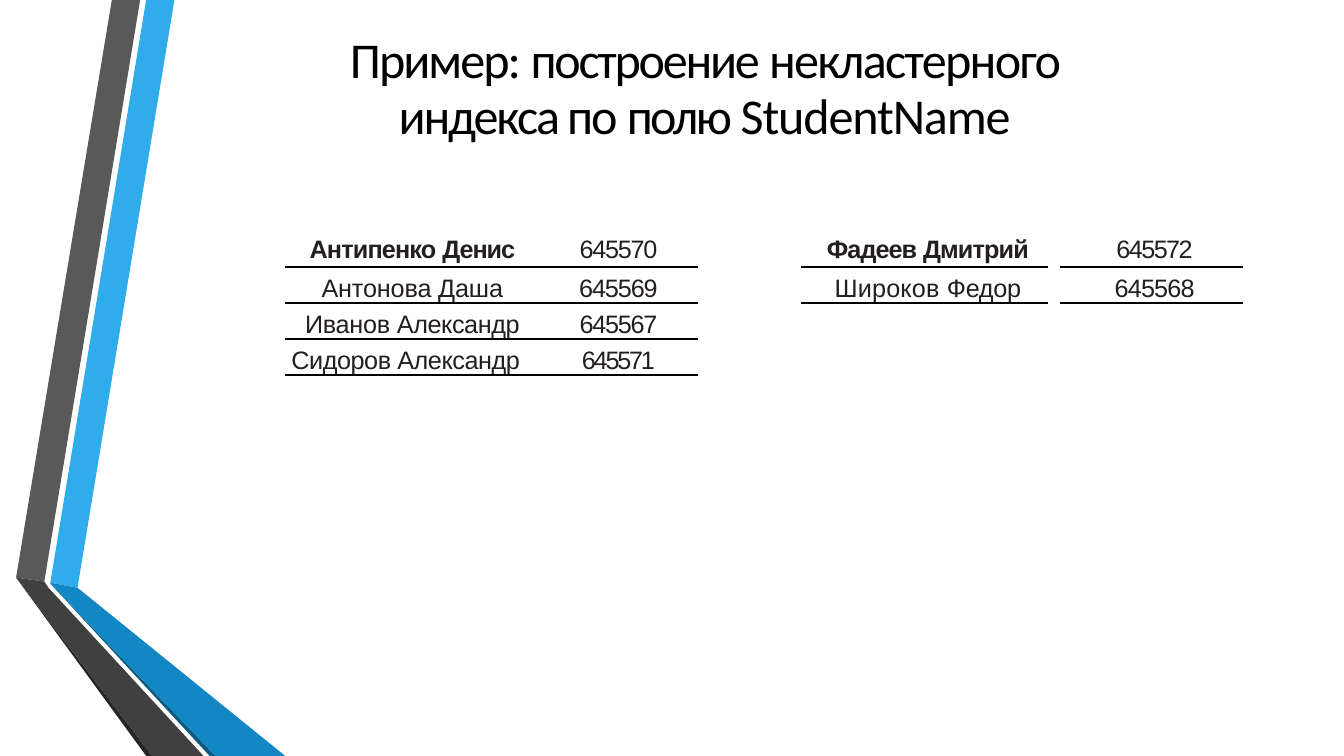
import dataclasses

import lxml.etree
import pptx
import pptx.dml.color
import pptx.enum.text
import pptx.oxml.ns
import pptx.util

Pt = pptx.util.Pt
Align = pptx.enum.text.PP_ALIGN
qn = pptx.oxml.ns.qn


@dataclasses.dataclass(frozen=True)
class Theme:
    title: str = "000000"
    body: str = "231E20"
    rule: str = "010202"
    blue: str = "30ACEC"
    deep: str = "1287C3"
    navy: str = "0C5A82"
    grey: str = "595959"
    coal: str = "404040"
    dark: str = "262626"
    head_font: str = "Calibri"
    body_font: str = "Arial"
    head_size: float = 35.8
    body_size: float = 18
    void_size: float = 8


THEME = Theme()
PLAIN = "{2D5ABB26-0587-4C30-8999-92F81FD0307C}"

# Ribbon outlines, back to front
BANDS = [
    (THEME.blue, [(36, 416.2), (55.4, 419.8), (124.6, 0), (104.4, 0)]),
    (THEME.grey, [(100.1, 0), (79.9, 0), (11.5, 412.6), (31.7, 415.4)]),
    (THEME.dark, [(11.5, 412.6), (104.4, 540), (108.7, 540)]),
    (THEME.navy, [(36, 416.9), (149.8, 540), (154.1, 540)]),
    (THEME.deep, [(36, 416.9), (154.1, 540), (203.8, 540), (55.4, 419.8),
                  (36, 416.2)]),
    (THEME.coal, [(145.4, 540), (34.6, 419.8), (31.7, 415.4), (11.5, 412.6),
                  (108.7, 540)]),
]

# Text runs: (text, letter spacing in points)
TITLE = [("Пример: ", -1.4), ("построение ", -1.6), ("некластерного ", -1.2),
         ("индекса по ", -1.5), ("полю ", -1.9), ("StudentName", -0.8)]

COLS = [177.1, 117.4, 74.2, 176.4, 8.6, 130.3]
ROWS = [20.2, 25.7, 25.7, 25.7]
CELLS = [
    {0: [("Антипенко ", -0.6), ("Денис", -0.8)], 1: [("645570", -0.9)],
     3: [("Фадеев ", -0.7), ("Дмитрий", -0.6)], 5: [("645572", -1.1)]},
    {0: [("Антонова Даша", -0.1)], 1: [("645569", -0.8)],
     3: [("Широков ", 0.1), ("Федор", -0.2)], 5: [("645568", -0.6)]},
    {0: [("Иванов ", -0.2), ("Александр", -0.3)], 1: [("645567", -0.9)]},
    {0: [("Сидоров Александр", -0.3)], 1: [("645571", -1.6)]},
]


def tint(code):
    return pptx.dml.color.RGBColor.from_string(code)


def write(frame, runs, *, font=THEME.body_font, size=THEME.body_size,
          color=THEME.body, bold=False, align=Align.CENTER, line=None,
          before=0, indent=0):
    para = frame.paragraphs[0]
    para.alignment = align
    para.space_before = Pt(before)
    if line:
        para.line_spacing = Pt(line)
    para._p.get_or_add_pPr().set("marL", str(Pt(indent)))
    for text, gap in runs:
        run = para.add_run()
        run.text = text
        run.font.name = font
        run.font.size = Pt(size)
        run.font.bold = bold
        run.font.color.rgb = tint(color)
        run._r.get_or_add_rPr().set("spc", str(round(gap * 100)))


def add_band(slide, color, points):
    spots = [(Pt(x), Pt(y)) for x, y in points]
    pen = slide.shapes.build_freeform(*spots[0])
    pen.add_line_segments(spots[1:], close=True)
    band = pen.convert_to_shape()
    band.shadow.inherit = False
    band.fill.solid()
    band.fill.fore_color.rgb = tint(color)
    band.line.fill.background()


def add_title(slide):
    box = slide.shapes.add_textbox(Pt(203.8), Pt(17.3), Pt(598.3), Pt(85.7))
    frame = box.text_frame
    frame.word_wrap = True
    frame.vertical_anchor = pptx.enum.text.MSO_ANCHOR.BOTTOM
    frame.margin_left = frame.margin_right = frame.margin_bottom = 0
    frame.margin_top = Pt(4.3)
    write(frame, TITLE, font=THEME.head_font, size=THEME.head_size,
          color=THEME.title, line=40, before=4.6, indent=0.7)


def add_rule(cell):
    edge = lxml.etree.Element(qn("a:lnB"), w=str(Pt(1)))
    fill = lxml.etree.SubElement(edge, qn("a:solidFill"))
    lxml.etree.SubElement(fill, qn("a:srgbClr"), val=THEME.rule)
    cell._tc.get_or_add_tcPr().insert(0, edge)


def fill_cell(cell, runs, row, col):
    cell.fill.background()
    cell.margin_left = cell.margin_right = cell.margin_bottom = 0
    cell.margin_top = Pt(5.5 if row and runs else 0)
    if not runs:
        write(cell.text_frame, [("", 0)], size=THEME.void_size)
        return
    last = row == len(ROWS) - 1
    write(cell.text_frame, runs, indent=4.3,
          bold=row == 0 and col in (0, 3),
          align=Align.JUSTIFY if last and col == 0 else Align.CENTER,
          line=None if row else 18.1)
    add_rule(cell)


def add_index(slide):
    frame = slide.shapes.add_table(len(ROWS), len(COLS), Pt(203.8), Pt(170.6),
                                   Pt(sum(COLS)), Pt(sum(ROWS)))
    table = frame.table
    table.first_row = table.horz_banding = False
    table._tbl.tblPr.find(qn("a:tableStyleId")).text = PLAIN
    for col, width in enumerate(COLS):
        table.columns[col].width = Pt(width)
    for row, height in enumerate(ROWS):
        table.rows[row].height = Pt(height)
        for col in range(len(COLS)):
            fill_cell(table.cell(row, col), CELLS[row].get(col), row, col)
    # Free area below the right-hand block
    table.cell(2, 2).merge(table.cell(3, 5))


def main():
    deck = pptx.Presentation()
    deck.slide_width, deck.slide_height = Pt(960), Pt(540)
    slide = deck.slides.add_slide(deck.slide_layouts[6])
    # Ribbon at the left edge
    for color, points in BANDS:
        add_band(slide, color, points)
    # Index table and heading
    add_index(slide)
    add_title(slide)
    deck.save("out.pptx")


if __name__ == "__main__":
    main()
